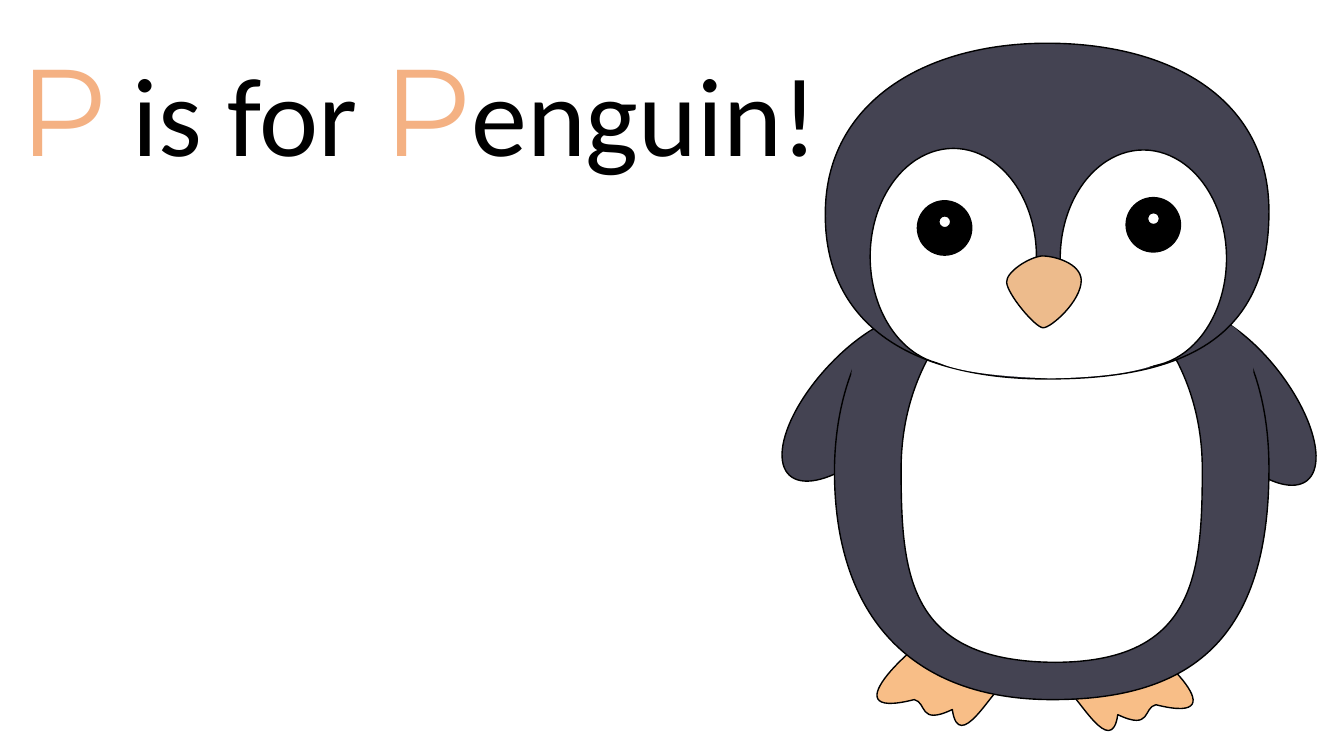
from lxml import etree
from pptx import Presentation
from pptx.dml.color import RGBColor
from pptx.enum.shapes import MSO_SHAPE
from pptx.enum.text import MSO_AUTO_SIZE, PP_ALIGN
from pptx.oxml.ns import qn
from pptx.util import Cm, Pt

OVAL = MSO_SHAPE.OVAL
CENTER = PP_ALIGN.CENTER
GROW = MSO_AUTO_SIZE.SHAPE_TO_FIT_TEXT

BLACK = RGBColor(0x00, 0x00, 0x00)
WHITE = RGBColor(0xFF, 0xFF, 0xFF)
PEACH = RGBColor(0xF4, 0xB1, 0x83)
PLUMAGE = RGBColor(0x44, 0x43, 0x52)
FOOT_ORANGE = RGBColor(0xF8, 0xBE, 0x87)
BEAK_ORANGE = RGBColor(0xED, 0xBB, 0x8C)

prs = Presentation()
prs.slide_width, prs.slide_height = Cm(33.87), Cm(19.05)
slide = prs.slides.add_slide(prs.slide_layouts[6])


def add_run(paragraph, text, size=80, font="Calibri", color=BLACK):
    run = paragraph.add_run()
    run.text = text
    run.font.size = Pt(size)
    run.font.name = font
    run.font.color.rgb = color


def draw_part(fill, box, curve=None, rotation=0, outlined=True):
    """Draw an oval, or a closed curve, in box (left, top, width, height).

    A curve is a start point, then segments of one point (a line) or of
    three points (a cubic curve). All lengths are in centimetres.
    """
    left, top, width, height = (Cm(v) for v in box)
    if curve:
        start, *segments = curve
        builder = penguin.shapes.build_freeform(Cm(start[0]), Cm(start[1]))
        builder.add_line_segments([(Cm(s[-1][0]), Cm(s[-1][1])) for s in segments])
        part = builder.convert_to_shape()
        part.left, part.top, part.width, part.height = left, top, width, height
        outline = part.element.find(".//" + qn("a:path"))
        for command in list(outline):
            outline.remove(command)
        outline.set("w", str(width))
        outline.set("h", str(height))
        for points in ([start], *segments):
            tag = "a:cubicBezTo" if len(points) == 3 else "a:lnTo"
            command = etree.SubElement(outline, qn("a:moveTo" if points[0] is start else tag))
            for x, y in points:
                etree.SubElement(command, qn("a:pt"), x=str(Cm(x) - left), y=str(Cm(y) - top))
        etree.SubElement(outline, qn("a:close"))
    else:
        part = penguin.shapes.add_shape(OVAL, left, top, width, height)
    part.shadow.inherit = False
    part.rotation = rotation
    part.fill.solid()
    part.fill.fore_color.rgb = fill
    if outlined:
        part.line.color.rgb = BLACK
        part.line.width = Pt(1)
    else:
        part.line.fill.background()


# Title
title = slide.shapes.add_textbox(Cm(-0.97), Cm(0.71), Cm(23.7), Cm(4.01)).text_frame
title.word_wrap = True
title.auto_size = GROW
phrase = title.paragraphs[0]
phrase.alignment = CENTER
for rest in (" is for ", "enguin! "):
    add_run(phrase, "P", size=88, font="Montserrat", color=PEACH)
    add_run(phrase, rest)

penguin = slide.shapes.add_group_shape()

# Wings
for left, rotation in ((30.15, 321.8), (20.55, 42.7)):
    draw_part(PLUMAGE, (left, 7.37, 2.29, 5.31), rotation=rotation)

# Feet: the right one mirrors the left one and sits slightly lower
left_foot = [
    (23.57, 16.0),
    [(24.66, 15.82)],
    [(25.25, 17.3)],
    [(25.02, 17.37), (24.16, 19.02), (24.0, 17.88)],
    [(23.14, 18.29), (23.37, 17.7), (23.04, 17.63)],
    [(20.75, 18.21), (23.34, 15.95), (23.57, 16.0)],
]
foot_start, *foot_segments = left_foot
right_foot = [(52.17 - foot_start[0], foot_start[1] + 0.13)]
right_foot += [[(52.17 - x, y + 0.13) for x, y in segment] for segment in foot_segments]
for left, top, foot in ((22.1, 15.82, left_foot), (26.92, 15.95, right_foot)):
    draw_part(FOOT_ORANGE, (left, top, 3.15, 2.46), foot)

# Body and belly
draw_part(PLUMAGE, (21.03, 5.99, 10.95, 11.64), [
    (21.03, 11.81),
    [(21.08, 8.05), (23.5, 5.99), (26.52, 5.99)],
    [(29.54, 5.99), (31.98, 7.87), (31.98, 11.81)],
    [(31.98, 16.1), (30.02, 17.63), (26.52, 17.63)],
    [(23.01, 17.63), (21.01, 15.57), (21.03, 11.81)],
])
draw_part(WHITE, (22.71, 6.93, 7.59, 9.74), [
    (22.71, 11.81),
    [(22.71, 9.12), (24.41, 6.93), (26.52, 6.93)],
    [(28.6, 6.93), (30.3, 9.12), (30.3, 11.81)],
    [(30.3, 14.5), (30.12, 16.71), (26.52, 16.69)],
    [(22.89, 16.64), (22.71, 14.5), (22.71, 11.81)],
])

# Shoulders blend the wings into the body
for left, top, rotation in ((30.66, 8.13, 339.9), (21.51, 8.26, 17.7)):
    draw_part(PLUMAGE, (left, top, 0.86, 1.68), rotation=rotation, outlined=False)

# Head
draw_part(PLUMAGE, (20.8, 1.09, 11.18, 8.46), [
    (20.8, 5.33),
    [(20.83, 2.59), (23.29, 1.09), (26.39, 1.09)],
    [(29.46, 1.09), (31.98, 2.46), (31.98, 5.33)],
    [(31.98, 8.43), (29.97, 9.55), (26.39, 9.55)],
    [(22.81, 9.55), (20.75, 8.05), (20.8, 5.33)],
])

# Eyes
for left, top in ((26.72, 3.78), (21.93, 3.74)):
    draw_part(WHITE, (left, top, 4.19, 5.46))
for left, top in ((28.38, 4.98), (23.12, 5.06)):
    draw_part(BLACK, (left, top, 1.37, 1.37))
    draw_part(WHITE, (left + 0.54, top + 0.38, 0.3, 0.3))

# Cheeks, an upright curve turned on its side
draw_part(WHITE, (25.17, 4.75, 2.64, 6.93), [
    (25.17, 8.23),
    [(25.17, 6.3), (25.78, 4.75), (26.49, 4.75)],
    [(27.23, 4.75), (27.76, 5.46), (27.81, 8.23)],
    [(27.71, 11.3), (27.23, 11.68), (26.49, 11.68)],
    [(25.78, 11.68), (25.17, 10.13), (25.17, 8.23)],
], rotation=90, outlined=False)

# Beak
draw_part(BEAK_ORANGE, (25.37, 6.45, 1.88, 1.81), [
    (25.37, 7.11),
    [(25.35, 6.86), (25.93, 6.48), (26.26, 6.45)],
    [(26.57, 6.45), (27.23, 6.63), (27.25, 7.06)],
    [(27.25, 7.59), (26.49, 8.26), (26.29, 8.26)],
    [(26.09, 8.26), (25.37, 7.39), (25.37, 7.11)],
])

prs.save("out.pptx")
